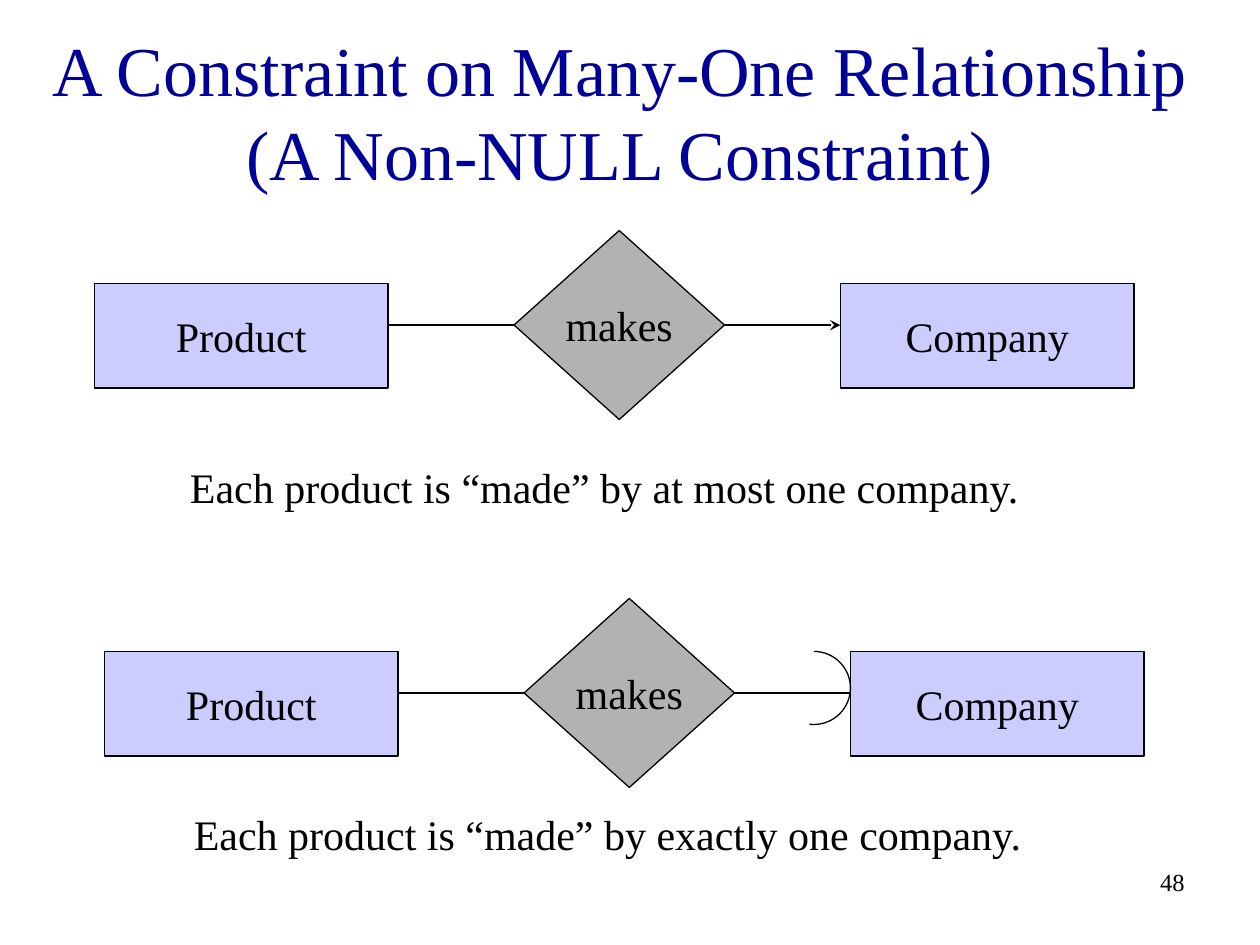
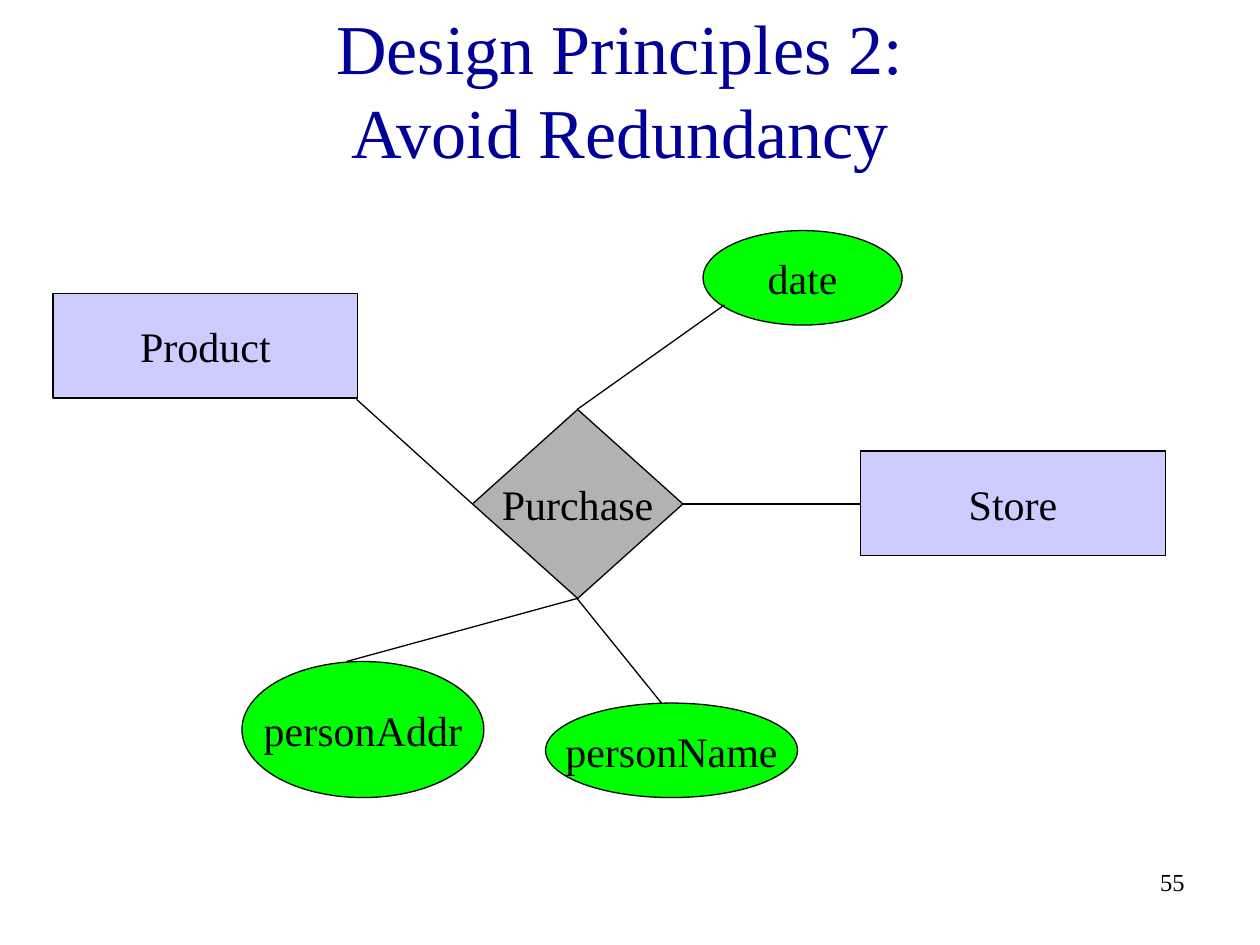
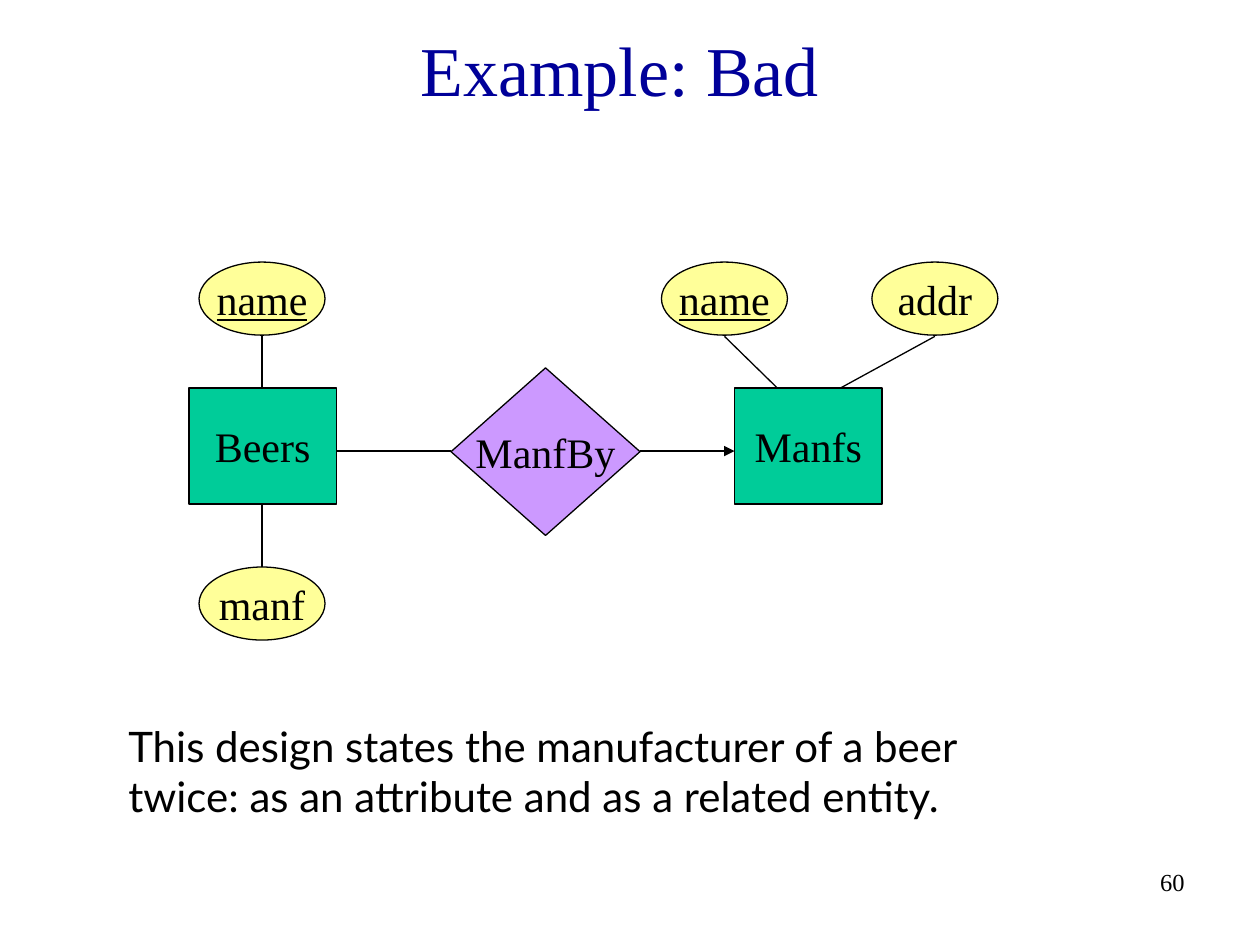
from math import cos, pi, sin

from lxml.etree import SubElement
from pptx import Presentation
from pptx.dml.color import RGBColor
from pptx.enum.shapes import MSO_CONNECTOR as Connector, MSO_SHAPE as Shape
from pptx.enum.text import MSO_ANCHOR as Anchor, PP_ALIGN as Align
from pptx.oxml.ns import qn
from pptx.util import Inches, Pt

BLACK = RGBColor(0x00, 0x00, 0x00)
NAVY = RGBColor(0x00, 0x00, 0x99)
LAVENDER = RGBColor(0xCC, 0xCC, 0xFF)
GREY = RGBColor(0xB2, 0xB2, 0xB2)
GREEN = RGBColor(0x00, 0xFF, 0x00)
TEAL = RGBColor(0x00, 0xCC, 0x99)
VIOLET = RGBColor(0xCC, 0x99, 0xFF)
YELLOW = RGBColor(0xFF, 0xFF, 0x99)

SERIF, SANS = "Times New Roman", "Lato"
LINE_WIDTH = Pt(0.75)
TITLE_FORMAT = {"name": SERIF, "size": Pt(40), "color": NAVY}
LABEL_FORMAT = {"name": SERIF, "size": Pt(24), "color": BLACK}
KEY_FORMAT = {**LABEL_FORMAT, "underline": True}
NOTE_FORMAT = {**LABEL_FORMAT, "name": SANS}
NUMBER_FORMAT = {**LABEL_FORMAT, "size": Pt(14)}

# kind: (preset, fill, width, height, text format)
ENTITY = (Shape.RECTANGLE, LAVENDER, 2.33, 0.83, LABEL_FORMAT)
WIDE_ENTITY = (Shape.RECTANGLE, LAVENDER, 2.42, 0.83, LABEL_FORMAT)
RELATION = (Shape.DIAMOND, GREY, 1.67, 1.5, LABEL_FORMAT)
SMALL_ENTITY = (Shape.RECTANGLE, TEAL, 1.17, 0.92, LABEL_FORMAT)
SMALL_RELATION = (Shape.DIAMOND, VIOLET, 1.5, 1.33, LABEL_FORMAT)
ATTRIBUTE = (Shape.OVAL, YELLOW, 1, 0.58, LABEL_FORMAT)
KEY = (Shape.OVAL, YELLOW, 1, 0.58, KEY_FORMAT)


def green_oval(width, height):
    return Shape.OVAL, GREEN, width, height, LABEL_FORMAT


# node: (label, kind, left, top); link: (from, to)
MAKES_NODES = [
    ("Company", ENTITY, 6.67, 2.25),
    ("Product", ENTITY, 0.75, 2.25),
    ("makes", RELATION, 4.08, 1.83),
]
PRODUCT_LINK = ((4.08, 2.58), (3.08, 2.58))
COMPANY_LINK = ((5.75, 2.58), (6.67, 2.58))
EXACTLY_ONE_SHIFT = (0.08, 2.92)
ARC_CENTER, ARC_RADIUS, ARC_SWEEP = (6.46, 5.46), 0.29, 1.04 * pi
MAKES_NOTES = [
    ("Each product is “made” by exactly one company.", (1.44, 6.37, 6.79, 0.5)),
    ("Each product is “made” by at most one company.", (1.41, 3.61, 6.8, 0.5)),
]

PURCHASE_NODES = [
    ("Purchase", RELATION, 3.75, 3.25),
    ("Product", WIDE_ENTITY, 0.42, 2.33),
    ("Store", WIDE_ENTITY, 6.83, 3.58),
    ("date", green_oval(1.58, 0.75), 5.58, 1.83),
    ("personName", green_oval(2, 0.75), 4.33, 5.58),
    ("personAddr", green_oval(1.92, 1.08), 1.92, 5.25),
]
PURCHASE_LINKS = [
    ((5.42, 4), (6.83, 4)),
    ((4.58, 3.25), (5.75, 2.42)),
    ((4.58, 4.75), (5.25, 5.58)),
    ((2.83, 3.17), (3.75, 4)),
    ((4.58, 4.75), (2.75, 5.25)),
]

BEER_NODES = [
    ("Beers", SMALL_ENTITY, 1.5, 3.08),
    ("Manfs", SMALL_ENTITY, 5.83, 3.08),
    ("ManfBy", SMALL_RELATION, 3.58, 2.92),
    ("name", KEY, 1.58, 2.08),
    ("name", KEY, 5.25, 2.08),
    ("manf", ATTRIBUTE, 1.58, 4.5),
    ("addr", ATTRIBUTE, 6.92, 2.08),
]
BEER_LINKS = [
    ((3.58, 3.58), (2.67, 3.58)),
    ((2.08, 2.67), (2.08, 3.08)),
    ((5.75, 2.67), (6.17, 3.08)),
    ((7.42, 2.67), (6.67, 3.08)),
    ((2.08, 4.5), (2.08, 4)),
]
MANFS_LINK = ((5.08, 3.58), (5.83, 3.58))
BEER_NOTE = ("This design states the manufacturer of a beer twice: "
             "as an attribute and as a related entity.")


def write(frame, text, formats, align=Align.LEFT, anchor=Anchor.TOP, wrap=True):
    frame.word_wrap = wrap
    frame.vertical_anchor = anchor
    para = frame.paragraphs[0]
    para.text = text
    para.alignment = align
    for span in para.runs:
        for name, value in formats.items():
            if name == "color":
                span.font.color.rgb = value
            else:
                setattr(span.font, name, value)


def add_text(page, text, place, formats, **layout):
    box = page.shapes.add_textbox(*map(Inches, place))
    write(box.text_frame, text, formats, **layout)
    return box


def add_page(deck, title, title_top, number):
    page = deck.slides.add_slide(deck.slide_layouts[6])
    add_text(page, number, (7.42, 6.83, 2.08, 0.5), NUMBER_FORMAT, align=Align.RIGHT)
    box = add_text(page, title, (0.17, title_top, 9.5, 0.75), TITLE_FORMAT,
                   align=Align.CENTER, anchor=Anchor.MIDDLE)
    box.text_frame.margin_left = box.text_frame.margin_right = 0
    return page


def outline(shape):
    shape.line.color.rgb = BLACK
    shape.line.width = LINE_WIDTH


def add_nodes(page, nodes, shift=(0, 0)):
    for label, (preset, fill, width, height, formats), left, top in nodes:
        place = (left + shift[0], top + shift[1], width, height)
        node = page.shapes.add_shape(preset, *map(Inches, place))
        node.shadow.inherit = False
        node.fill.solid()
        node.fill.fore_color.rgb = fill
        outline(node)
        write(node.text_frame, label, formats, Align.CENTER, Anchor.MIDDLE, wrap=False)


def add_links(page, links, shift=(0, 0), arrow=None):
    for start, end in links:
        ends = [value + move for point in (start, end) for value, move in zip(point, shift)]
        link = page.shapes.add_connector(Connector.STRAIGHT, *map(Inches, ends))
        outline(link)
        if arrow:
            SubElement(link.line._get_or_add_ln(), qn("a:tailEnd"), type=arrow)
        SubElement(link._element.spPr, qn("a:effectLst"))


def add_rounded_arrow(page, steps=32):
    """Draw the half circle that marks exactly one."""
    angles = [-pi / 2 + ARC_SWEEP * step / steps for step in range(steps + 1)]
    points = [(Inches(ARC_CENTER[0] + ARC_RADIUS * cos(angle)),
               Inches(ARC_CENTER[1] + ARC_RADIUS * sin(angle))) for angle in angles]
    builder = page.shapes.build_freeform(*points[0])
    builder.add_line_segments(points[1:], close=False)
    arc = builder.convert_to_shape()
    arc.shadow.inherit = False
    arc.fill.background()
    outline(arc)


def main():
    deck = Presentation()
    deck.slide_width, deck.slide_height = Inches(10), Inches(7.5)

    page = add_page(
        deck, "A Constraint on Many-One Relationship\v(A Non-NULL Constraint)", 0.5, "48")
    add_nodes(page, MAKES_NODES)
    add_links(page, [PRODUCT_LINK])
    add_links(page, [COMPANY_LINK], arrow="stealth")
    add_nodes(page, MAKES_NODES, EXACTLY_ONE_SHIFT)
    add_links(page, [PRODUCT_LINK, COMPANY_LINK], EXACTLY_ONE_SHIFT)
    add_rounded_arrow(page)
    for note, place in MAKES_NOTES:
        add_text(page, note, place, LABEL_FORMAT, wrap=False)

    page = add_page(deck, "Design Principles 2:\vAvoid Redundancy", 0.33, "55")
    add_nodes(page, PURCHASE_NODES)
    add_links(page, PURCHASE_LINKS)

    page = add_page(deck, "Example: Bad", 0.17, "60")
    add_nodes(page, BEER_NODES)
    add_links(page, BEER_LINKS)
    add_links(page, [MANFS_LINK], arrow="triangle")
    add_text(page, BEER_NOTE, (0.92, 5.67, 7.52, 0.9), NOTE_FORMAT)

    deck.save("out.pptx")


if __name__ == "__main__":
    main()
